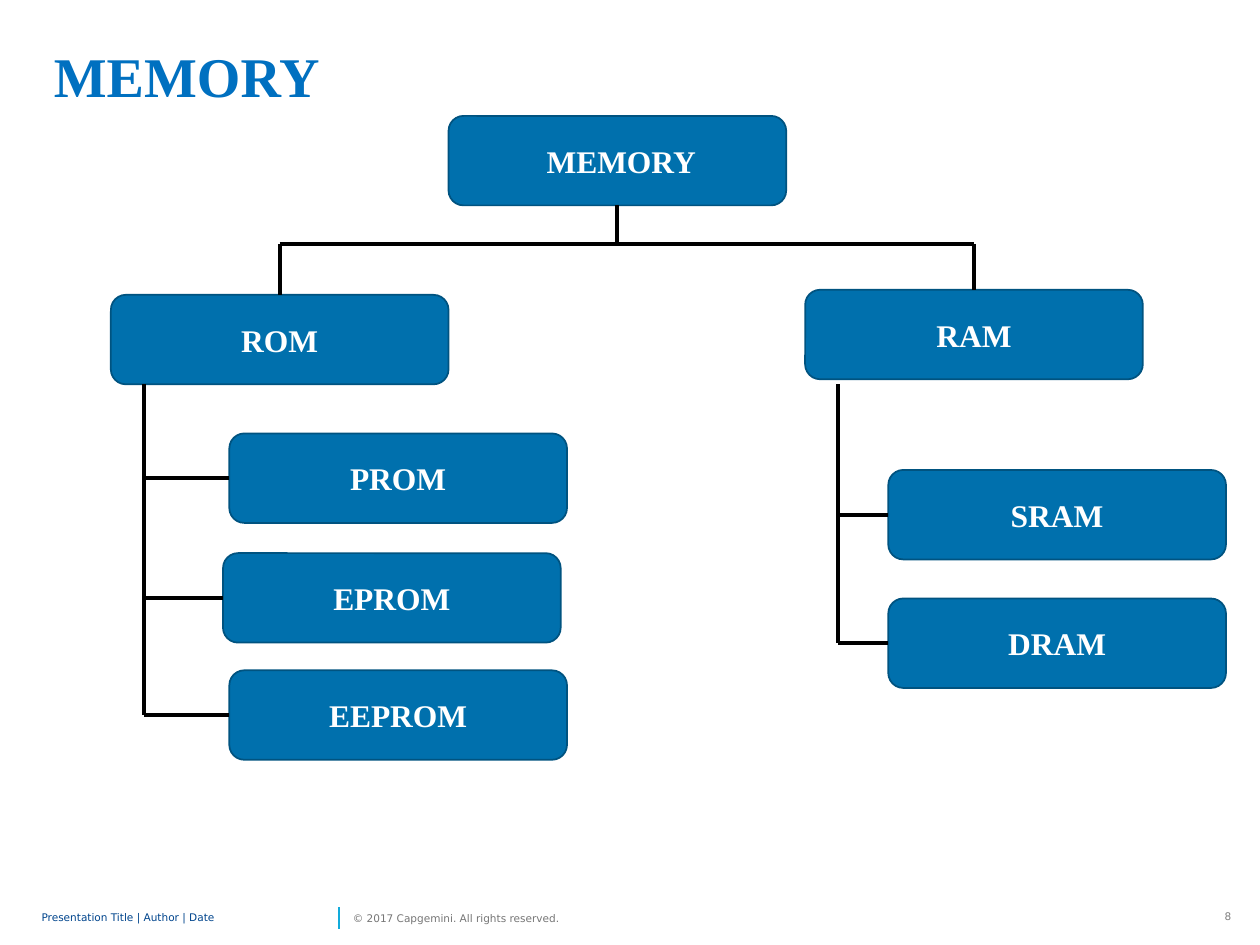
from dataclasses import dataclass
from itertools import pairwise

from lxml import etree
from pptx import Presentation
from pptx import util as u
from pptx.dml.color import RGBColor
from pptx.enum import shapes, text
from pptx.oxml import ns


@dataclass(frozen=True)
class Theme:
    serif: str = "Times New Roman"
    sans: str = "DejaVu Sans"
    title: str = "0070C0"
    fill: str = "0070AD"
    edge: str = "005380"
    white: str = "FFFFFF"
    black: str = "000000"
    author: str = "00458D"
    rights: str = "767676"
    page: str = "808080"
    rule: str = "12ABDB"
    large: float = 32
    label: float = 18
    small: float = 6
    thin: float = 1
    thick: float = 2.25


THEME = Theme()
WIDE, HIGH = 2.68, 0.71


def place(*sizes):
    return [u.Inches(size) for size in sizes]


def style(frame, words, face, size, color, bold=False, align=text.PP_ALIGN.LEFT):
    frame.text = words
    frame.word_wrap = True
    line = frame.paragraphs[0]
    line.alignment = align
    font = line.runs[0].font
    font.name, font.size, font.bold = face, u.Pt(size), bold
    font.color.rgb = RGBColor.from_string(color)
    return line


def title(slide, words):
    box = slide.shapes.add_textbox(*place(0.33, 0.28, 7.6, 0.64))
    style(box.text_frame, words, THEME.serif, THEME.large, THEME.title, True)


def node(slide, words, left, top):
    box = slide.shapes.add_shape(
        shapes.MSO_SHAPE.ROUNDED_RECTANGLE, *place(left, top, WIDE, HIGH))
    box.shadow.inherit = False
    box.fill.solid()
    box.fill.fore_color.rgb = RGBColor.from_string(THEME.fill)
    box.line.color.rgb = RGBColor.from_string(THEME.edge)
    box.line.width = u.Pt(THEME.thin)
    box.text_frame.vertical_anchor = text.MSO_ANCHOR.MIDDLE
    style(box.text_frame, words, THEME.serif, THEME.label, THEME.white,
          True, text.PP_ALIGN.CENTER)


def link(slide, start, end, color=THEME.black, width=THEME.thick):
    line = slide.shapes.add_connector(
        shapes.MSO_CONNECTOR.STRAIGHT, *place(*start, *end))
    line.line.color.rgb = RGBColor.from_string(color)
    line.line.width = u.Pt(width)
    etree.SubElement(line._element.spPr, ns.qn("a:effectLst"))


def fork(slide, root, kids, bar):
    mid = root[0] + WIDE / 2
    link(slide, (mid, root[1] + HIGH), (mid, bar))
    ends = [left + WIDE / 2 for left, top in kids]
    link(slide, (ends[0], bar), (ends[-1], bar))
    for end, (left, top) in zip(ends, kids):
        link(slide, (end, bar), (end, top))


def branch(slide, trunk, start, kids):
    stops = [start]
    for words, left, top in kids:
        mid = top + HIGH / 2
        node(slide, words, left, top)
        link(slide, (trunk, mid), (left, mid))
        stops.append(mid)
    for above, below in pairwise(stops):
        link(slide, (trunk, above), (trunk, below))


def note(slide, words, left, width, color):
    box = slide.shapes.add_textbox(*place(left, 7.17, width, 0.24))
    frame = box.text_frame
    frame.margin_left = frame.margin_right = 0
    frame.margin_top = frame.margin_bottom = 0
    frame.vertical_anchor = text.MSO_ANCHOR.MIDDLE
    return style(frame, words, THEME.sans, THEME.small, color)


def footer(slide):
    line = note(slide, "Presentation Title | Author | Date", 0.33, 2.32, THEME.author)
    line.line_spacing = 0.85
    link(slide, (2.69, 7.37), (2.69, 7.2), THEME.rule, THEME.thin)
    note(slide, "© 2017 Capgemini. All rights reserved.", 2.8, 1.82, THEME.rights)
    box = slide.shapes.add_textbox(*place(9.52, 7.17, 0.35, 0.2))
    style(box.text_frame, "8", THEME.sans, THEME.small, THEME.page,
          align=text.PP_ALIGN.RIGHT)


def main():
    deck = Presentation()
    deck.slide_width, deck.slide_height = place(10, 7.5)
    slide = deck.slides.add_slide(deck.slide_layouts[6])
    root, rom, ram = (3.56, 0.92), (0.88, 2.34), (6.39, 2.3)
    footer(slide)
    title(slide, "MEMORY")
    node(slide, " MEMORY", *root)
    node(slide, "ROM", *rom)
    node(slide, "RAM", *ram)
    fork(slide, root, [rom, ram], 1.94)
    branch(slide, 1.14, 3.05, [
        ("PROM", 1.82, 3.44), ("EPROM", 1.77, 4.39), ("EEPROM", 1.82, 5.32)])
    branch(slide, 6.65, 3.05, [("SRAM", 7.05, 3.73), ("DRAM", 7.05, 4.75)])
    deck.save("out.pptx")


if __name__ == "__main__":
    main()
